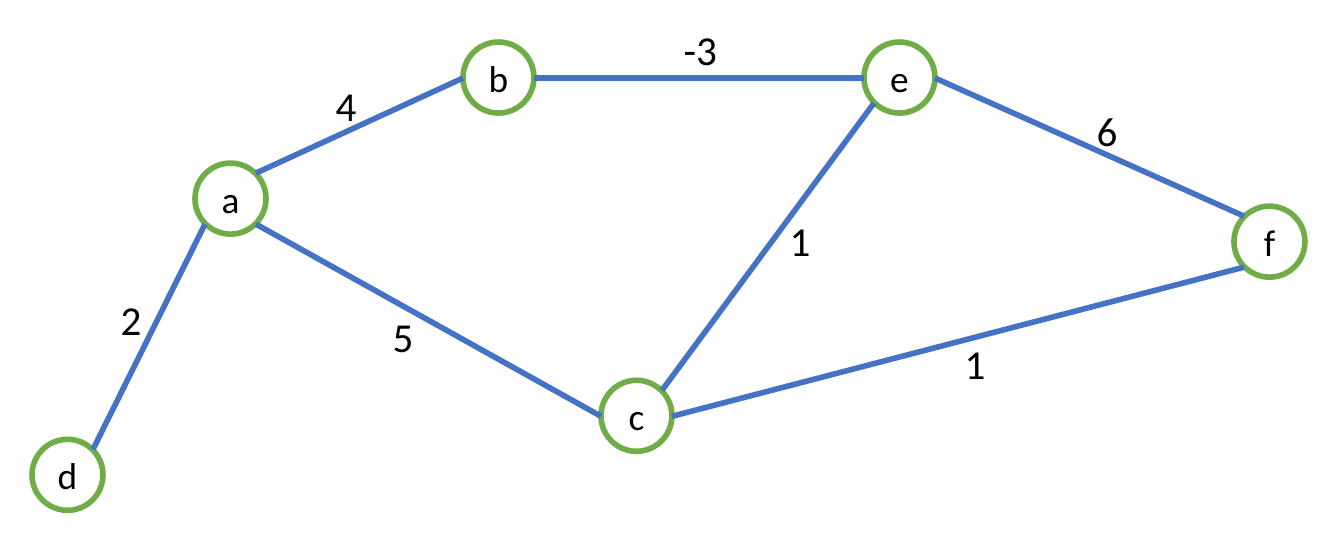
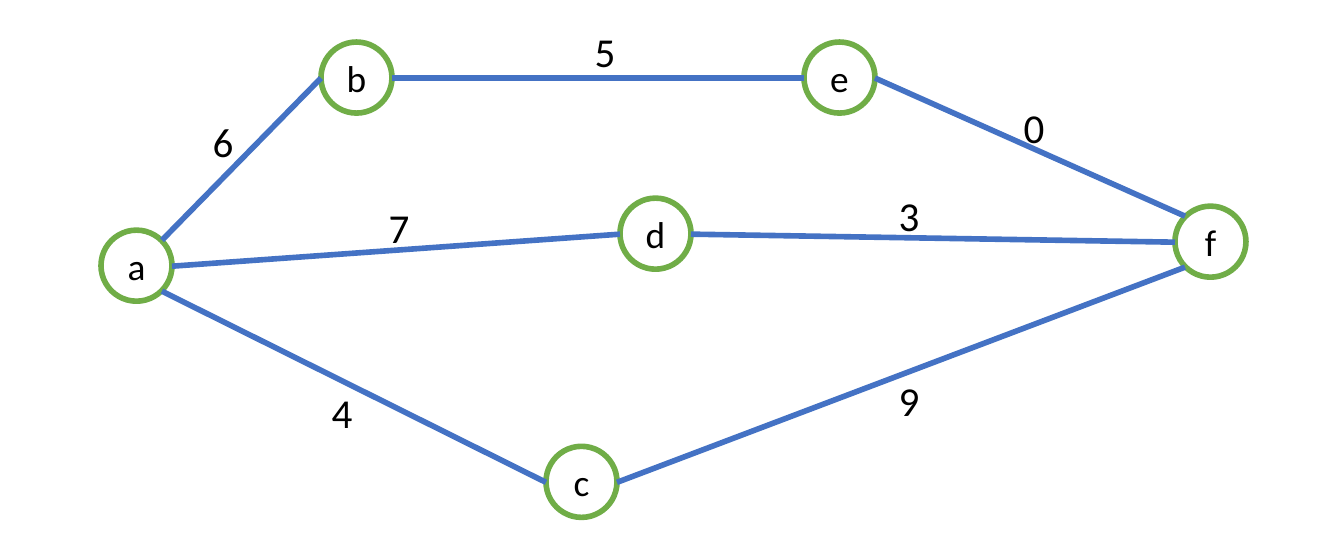
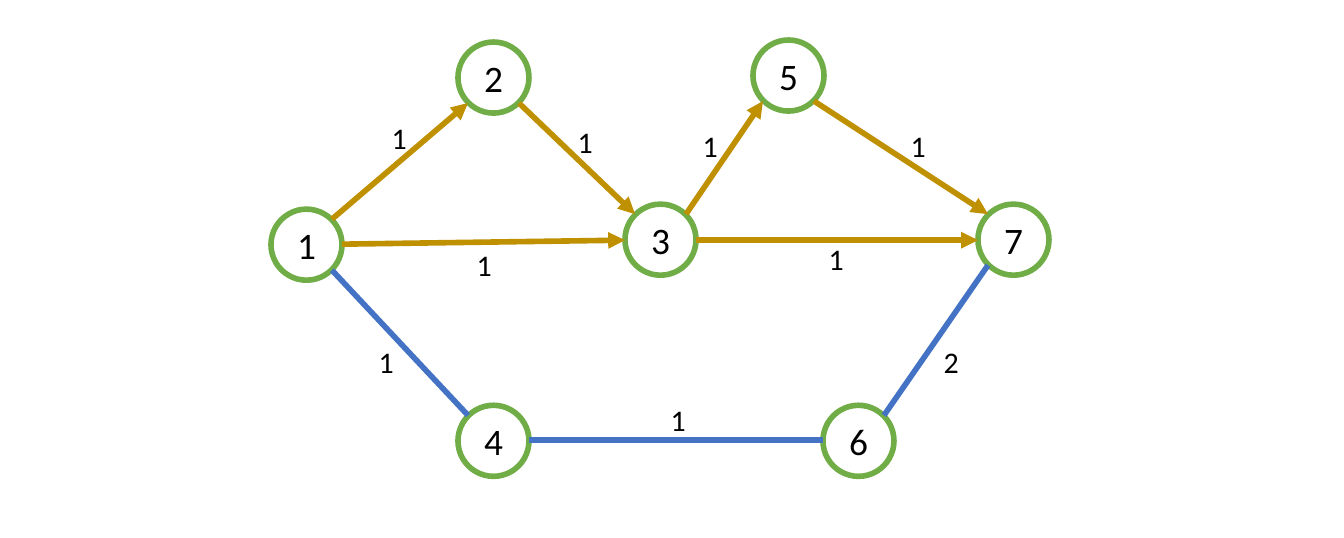
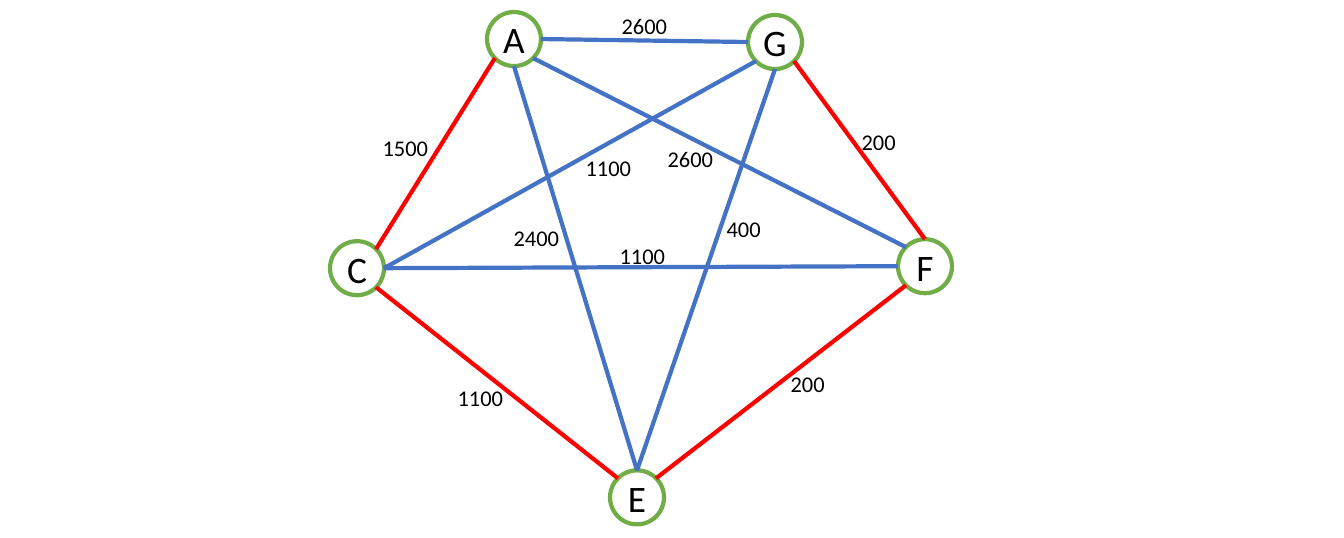
from lxml import etree
from pptx import Presentation
from pptx.dml.color import RGBColor
from pptx.enum import shapes, text
from pptx.oxml.ns import qn
from pptx.util import Pt

PX = 914400 / 67.2
FONT = "Calibri"
COLORS = {
    "node": "70AD47",
    "edge": "4472C4",
    "arrow": "BF9000",
    "tour": "FF0000",
    "fill": "FFFFFF",
    "text": "000000",
}
DIAGONAL = 0.5 ** 0.5
PORTS = {
    "n": (0, -1), "ne": (DIAGONAL, -DIAGONAL), "e": (1, 0), "se": (DIAGONAL, DIAGONAL),
    "s": (0, 1), "sw": (-DIAGONAL, DIAGONAL), "w": (-1, 0), "nw": (-DIAGONAL, -DIAGONAL),
}

GRAPHS = [
    {
        "diameter": 71, "line": 6, "weight_size": 44,
        "nodes": {"f": (1234, 206), "e": (864, 42), "a": (195, 163),
                  "c": (601, 380), "b": (463, 42), "d": (32, 439)},
        "edges": [
            ("d ne", "a sw", "edge", "2", 114, 291),
            ("a ne", "b w", "edge", "4", 329, 77),
            ("b e", "e w", "edge", "-3", 677, 21),
            ("a se", "c w", "edge", "5", 386, 308),
            ("c e", "f sw", "edge", "1", 958, 335),
            ("e sw", "c ne", "edge", "1", 783, 212),
            ("e e", "f nw", "edge", "6", 1090, 102),
        ],
    },
    {
        "diameter": 71, "line": 6, "weight_size": 44,
        "nodes": {"f": (1175, 206), "e": (804, 42), "a": (101, 230),
                  "c": (546, 446), "b": (321, 42), "d": (620, 198)},
        "edges": [
            ("a ne", "b w", "edge", "6", 206, 113),
            ("b e", "e w", "edge", "5", 588, 23),
            ("a se", "c w", "edge", "4", 325, 384),
            ("c e", "f sw", "edge", "9", 892, 372),
            ("e e", "f nw", "edge", "0", 1017, 99),
            ("d e", "f w", "edge", "3", 892, 187),
            ("a e", "d w", "edge", "7", 382, 199),
        ],
    },
    {
        "diameter": 71, "line": 6, "weight_size": 32,
        "nodes": {"2": (458, 42), "7": (978, 204), "3": (625, 204), "4": (458, 405),
                  "5": (753, 40), "1": (271, 209), "6": (823, 405)},
        "edges": [
            ("1 se", "4 nw", "edge", "1", 372, 340),
            ("4 e", "6 w", "edge", "1", 664, 398),
            ("6 ne", "7 sw", "edge", "2", 937, 340),
            ("3 e", "7 w", "arrow", "1", 822, 237),
            ("1 e", "3 w", "arrow", "1", 470, 243),
            ("1 ne", "2 sw", "arrow", "1", 385, 116),
            ("2 se", "3 nw", "arrow", "1", 571, 120),
            ("3 ne", "5 sw", "arrow", "1", 696, 124),
            ("5 se", "7 nw", "arrow", "1", 904, 124),
        ],
    },
    {
        "diameter": 54, "line": 4.5, "weight_size": 24,
        "nodes": {"A": (487, 12), "C": (330, 241), "G": (748, 15),
                  "F": (898, 239), "E": (610, 470)},
        "edges": [
            ("A e", "G w", "edge", "2600", 615, 9),
            ("A sw", "C ne", "tour", "1500", 376, 131),
            ("C se", "E nw", "tour", "1100", 451, 380),
            ("A se", "F nw", "edge", "2600", 661, 142),
            ("G se", "F n", "tour", "200", 855, 125),
            ("A s", "E n", "edge", "2400", 507, 221),
            ("F sw", "E ne", "tour", "200", 784, 366),
            ("G sw", "C e", "edge", "1100", 579, 151),
            ("G s", "E n", "edge", "400", 720, 212),
            ("C e", "F w", "edge", "1100", 613, 239),
        ],
    },
]


def emu(*pixels):
    return [round(pixel * PX) for pixel in pixels]


def write(tf, words, size):
    tf.word_wrap = False
    p = tf.paragraphs[0]
    r = p.add_run()
    r.text = words
    r.font.name = FONT
    r.font.size = Pt(size)
    r.font.color.rgb = RGBColor.from_string(COLORS["text"])
    return p


prs = Presentation()
prs.slide_width, prs.slide_height = emu(1344, 537.6)

for graph in GRAPHS:
    s = prs.slides.add_slide(prs.slide_layouts[6])
    diameter = graph["diameter"]
    radius = diameter / 2

    for name, (x, y) in graph["nodes"].items():
        sp = s.shapes.add_shape(shapes.MSO_SHAPE.OVAL, *emu(x, y, diameter, diameter))
        sp.shadow.inherit = False
        sp.fill.solid()
        sp.fill.fore_color.rgb = RGBColor.from_string(COLORS["fill"])
        sp.line.color.rgb = RGBColor.from_string(COLORS["node"])
        sp.line.width = Pt(graph["line"])
        tf = sp.text_frame
        tf.margin_left = tf.margin_right = tf.margin_top = tf.margin_bottom = 0
        tf.vertical_anchor = text.MSO_ANCHOR.MIDDLE
        write(tf, name, 40).alignment = text.PP_ALIGN.CENTER

    for start, end, kind, *_ in graph["edges"]:
        ends = []
        for joint in (start, end):
            name, port = joint.split()
            x, y = graph["nodes"][name]
            dx, dy = PORTS[port]
            ends += [round(x + radius * (1 + dx)), round(y + radius * (1 + dy))]
        line = s.shapes.add_connector(shapes.MSO_CONNECTOR.STRAIGHT, *emu(*ends))
        line.line.color.rgb = RGBColor.from_string(COLORS[kind])
        line.line.width = Pt(graph["line"])
        sp_pr = line._element.spPr
        if kind == "arrow":
            etree.SubElement(sp_pr.get_or_add_ln(), qn("a:tailEnd"), type="triangle")
        etree.SubElement(sp_pr, qn("a:effectLst"))

    size = graph["weight_size"]
    for *_, weight, x, y in graph["edges"]:
        digits = len(weight) - 0.4 * weight.count("-")
        width = round(14.5 + 0.48 * size * digits)
        height = round(6.7 + 1.14 * size)
        tf = s.shapes.add_textbox(*emu(x, y, width, height)).text_frame
        tf.auto_size = text.MSO_AUTO_SIZE.SHAPE_TO_FIT_TEXT
        write(tf, weight, size)

prs.save("out.pptx")
